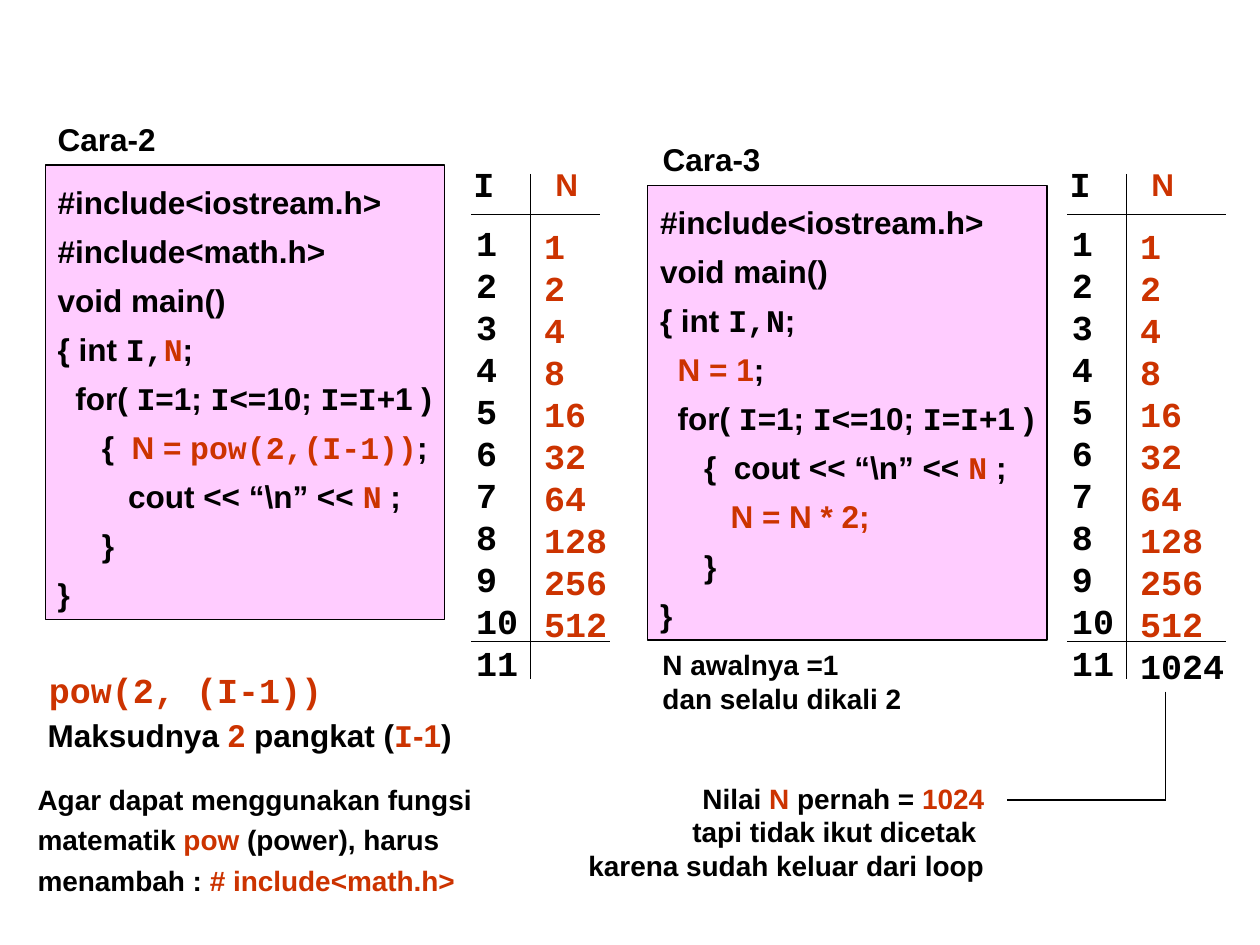
from lxml.etree import SubElement
from pptx import Presentation
from pptx.dml.color import RGBColor
from pptx.enum.shapes import MSO_CONNECTOR, MSO_SHAPE
from pptx.enum.text import MSO_ANCHOR, MSO_AUTO_SIZE, PP_ALIGN
from pptx.oxml.ns import qn
from pptx.util import Inches, Pt

BLACK = RGBColor(0x00, 0x00, 0x00)
RED = RGBColor(0xCC, 0x33, 0x00)
PINK = RGBColor(0xFF, 0xCC, 0xFF)
SANS, MONO = "Arial", "Courier New"
SPACE = 0.07

PLAIN = {"name": SANS, "color": BLACK}
HOT = {"name": SANS, "color": RED}
CODE = {"name": MONO, "color": BLACK}
HOT_CODE = {"name": MONO, "color": RED}

FOR_LINE = (2, [("for( ", PLAIN), ("I", CODE), ("=1; ", PLAIN), ("I", CODE),
                ("<=10; ", PLAIN), ("I", CODE), ("=", PLAIN), ("I", CODE),
                ("+1 )", PLAIN)])
PRINT_N = [("cout << “\\n” << ", PLAIN), ("N", HOT_CODE), (" ;", PLAIN)]
CLOSING = [(5, [("}", PLAIN)]), (0, [("}", PLAIN)])]

POW_CODE = [
    (0, [("#include<iostream.h>", PLAIN)]),
    (0, [("#include<math.h>", PLAIN)]),
    (0, [("void main()", PLAIN)]),
    (0, [("{ int ", PLAIN), ("I,", CODE), ("N", HOT_CODE), (";", PLAIN)]),
    FOR_LINE,
    (5, [("{  ", PLAIN), ("N = ", HOT), ("pow(2,(I-1))", HOT_CODE), (";", PLAIN)]),
    (8, PRINT_N),
    *CLOSING,
]
DOUBLING_CODE = [
    (0, [("#include<iostream.h>", PLAIN)]),
    (0, [("void main()", PLAIN)]),
    (0, [("{ int ", PLAIN), ("I,N", CODE), (";", PLAIN)]),
    (2, [("N = 1", HOT), (";", PLAIN)]),
    FOR_LINE,
    (5, [("{  ", PLAIN), *PRINT_N]),
    (8, [("N = N * 2;", HOT)]),
    *CLOSING,
]


def fill_text(sp, lines, size, wrap=False, spacing=None, align=PP_ALIGN.LEFT):
    tf = sp.text_frame
    for key, value in {"word_wrap": wrap, "vertical_anchor": MSO_ANCHOR.TOP,
                       "auto_size": MSO_AUTO_SIZE.SHAPE_TO_FIT_TEXT}.items():
        setattr(tf, key, value)
    for i, (indent, runs) in enumerate(lines):
        p = tf.add_paragraph() if i else tf.paragraphs[0]
        p.alignment = align
        if spacing:
            p.line_spacing = spacing
        if indent:
            p._p.get_or_add_pPr().set("marL", str(Inches(indent * SPACE)))
        for text, style in runs:
            r = p.add_run()
            r.text = text
            for key, value in {"name": style["name"], "size": Pt(size),
                               "bold": True}.items():
                setattr(r.font, key, value)
            r.font.color.rgb = style["color"]


def add_text(s, box, lines, size, **options):
    sp = s.shapes.add_textbox(*map(Inches, box))
    fill_text(sp, lines, size, **options)


def add_line(s, x1, y1, x2, y2):
    line = s.shapes.add_connector(MSO_CONNECTOR.STRAIGHT,
                                  *map(Inches, (x1, y1, x2, y2)))
    line.line.color.rgb = BLACK
    line.line.width = Pt(0.75)
    SubElement(line._element.spPr, qn("a:effectLst"))


def add_code_panel(s, box, heading, heading_x, code):
    x, y, w, h = box
    sp = s.shapes.add_shape(MSO_SHAPE.RECTANGLE, *map(Inches, box))
    sp.shadow.inherit = False
    sp.fill.solid()
    sp.fill.fore_color.rgb = PINK
    sp.line.color.rgb = BLACK
    sp.line.width = Pt(0.75)
    fill_text(sp, code, 18, spacing=1.3)
    add_text(s, (heading_x, y - 0.41, 0.98, 0.4), [(0, [(heading, PLAIN)])], 18)


def add_trace(s, x, y, top_width, bottom_width, values, values_width):
    add_line(s, x, y + 0.32, x + top_width, y + 0.32)
    add_line(s, x + 0.47, y, x + 0.47, y + 4.01)
    add_line(s, x, y + 3.71, x + bottom_width, y + 3.71)
    add_text(s, (x - 0.08, y - 0.14, 0.36, 0.44), [(0, [("I", CODE)])], 20)
    add_text(s, (x + 0.57, y - 0.12, 0.38, 0.4), [(0, [("N", HOT)])], 18, wrap=True)
    steps = [(0, [(str(i), CODE)]) for i in range(1, 12)]
    add_text(s, (x - 0.06, y + 0.33, 0.56, 3.77), steps, 20, wrap=True)
    add_text(s, (x + 0.48, y + 0.35, values_width, 0.1 + 0.33 * len(values)),
             values, 20, wrap=True)


def add_pow_notes(s, x, y):
    add_text(s, (x + 0.09, y, 2.54, 0.44), [(0, [("pow(2, (I-1))", HOT_CODE)])], 20)
    add_text(s, (x + 0.08, y + 0.37, 3.5, 0.4), [
        (0, [("Maksudnya ", PLAIN), ("2", HOT), (" pangkat (", PLAIN),
             ("I", HOT_CODE), ("-1", HOT), (")", PLAIN)])], 18, wrap=True)
    add_text(s, (x, y + 0.85, 4.41, 1.06), [
        (0, [("Agar dapat menggunakan fungsi matematik", PLAIN), (" pow", HOT),
             (" (power), harus menambah : ", PLAIN), ("# include<math.h>", HOT)])],
        16, wrap=True, spacing=1.2)


def add_doubling_notes(s, x, y):
    add_text(s, (x, y, 2.2, 0.64), [
        (0, [("N awalnya =1", PLAIN)]),
        (0, [("dan selalu dikali 2", PLAIN)])], 16, wrap=True)
    add_text(s, (x - 0.59, y + 1.06, 3.34, 0.9), [
        (0, [("Nilai ", PLAIN), ("N", HOT), (" pernah = ", PLAIN), ("1024", HOT)]),
        (0, [("tapi tidak ikut dicetak ", PLAIN)]),
        (0, [("karena sudah keluar dari loop", PLAIN)])], 16, align=PP_ALIGN.RIGHT)
    add_line(s, x + 4.09, y + 0.4, x + 4.09, y + 1.26)
    add_line(s, x + 4.09, y + 1.26, x + 2.83, y + 1.26)


def main():
    prs = Presentation()
    prs.slide_width, prs.slide_height = Inches(10), Inches(7.5)
    s = prs.slides.add_slide(prs.slide_layouts[6])
    powers = [(0, [(str(2 ** i), HOT_CODE)]) for i in range(10)]
    add_code_panel(s, (0.36, 1.31, 3.17, 3.61), "Cara-2", 0.36, POW_CODE)
    add_code_panel(s, (5.14, 1.47, 3.17, 3.61), "Cara-3", 5.16, DOUBLING_CODE)
    add_trace(s, 3.74, 1.38, 1.02, 1.1, powers, 0.73)
    add_trace(s, 8.47, 1.38, 1.26, 1.26, powers + [(0, [("1024", CODE)])], 0.9)
    add_pow_notes(s, 0.2, 5.26)
    add_doubling_notes(s, 5.16, 5.09)
    prs.save("out.pptx")


if __name__ == "__main__":
    main()
